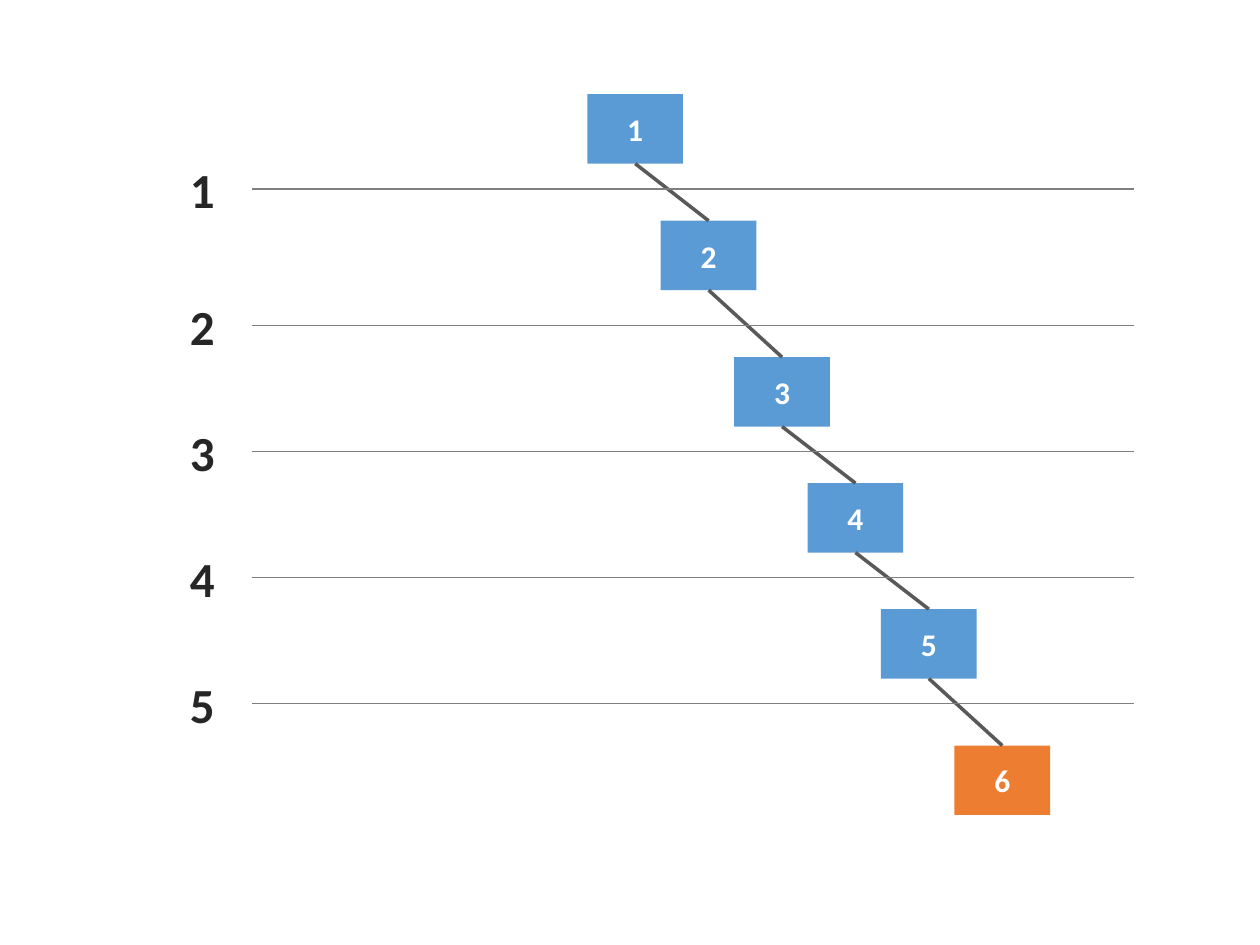
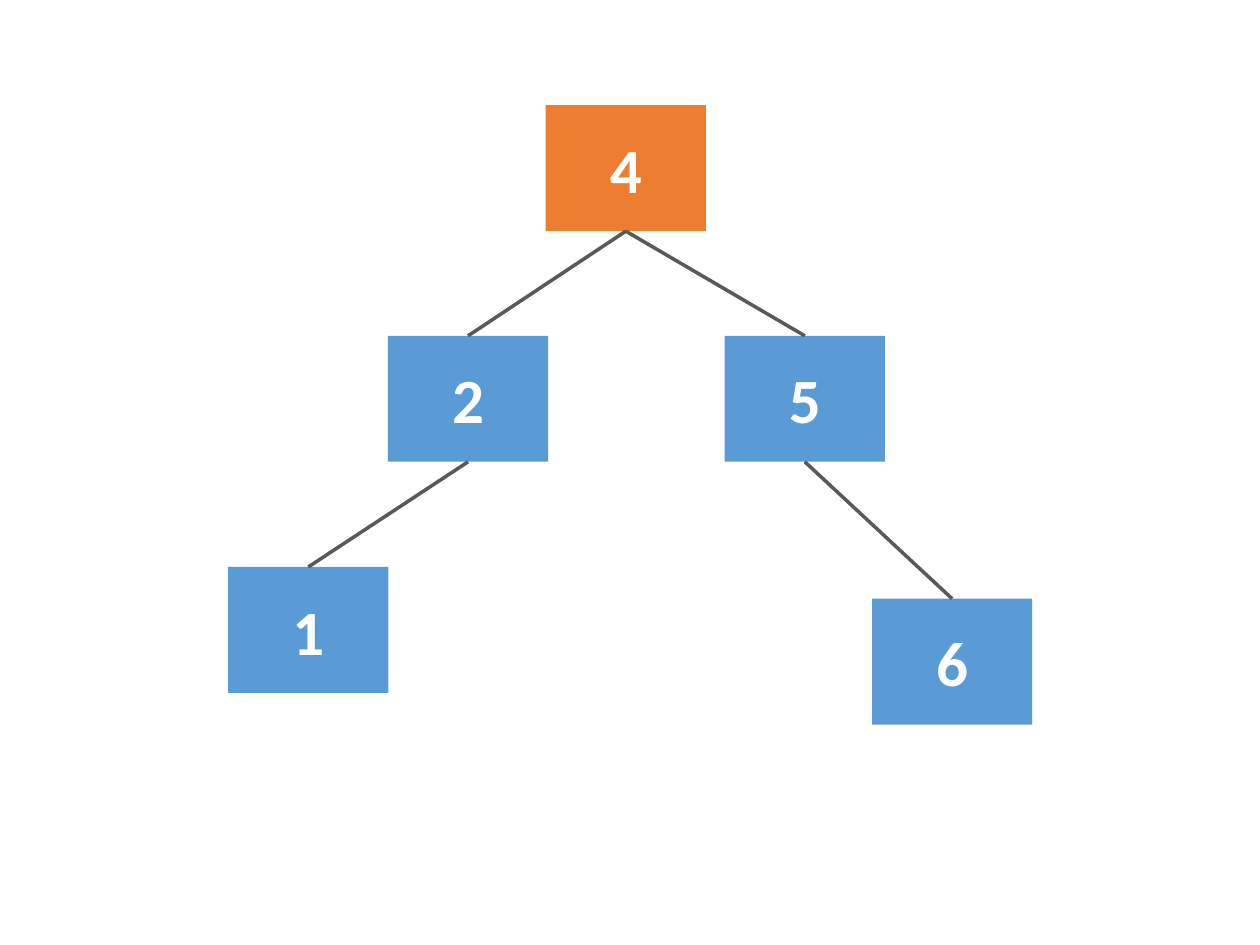
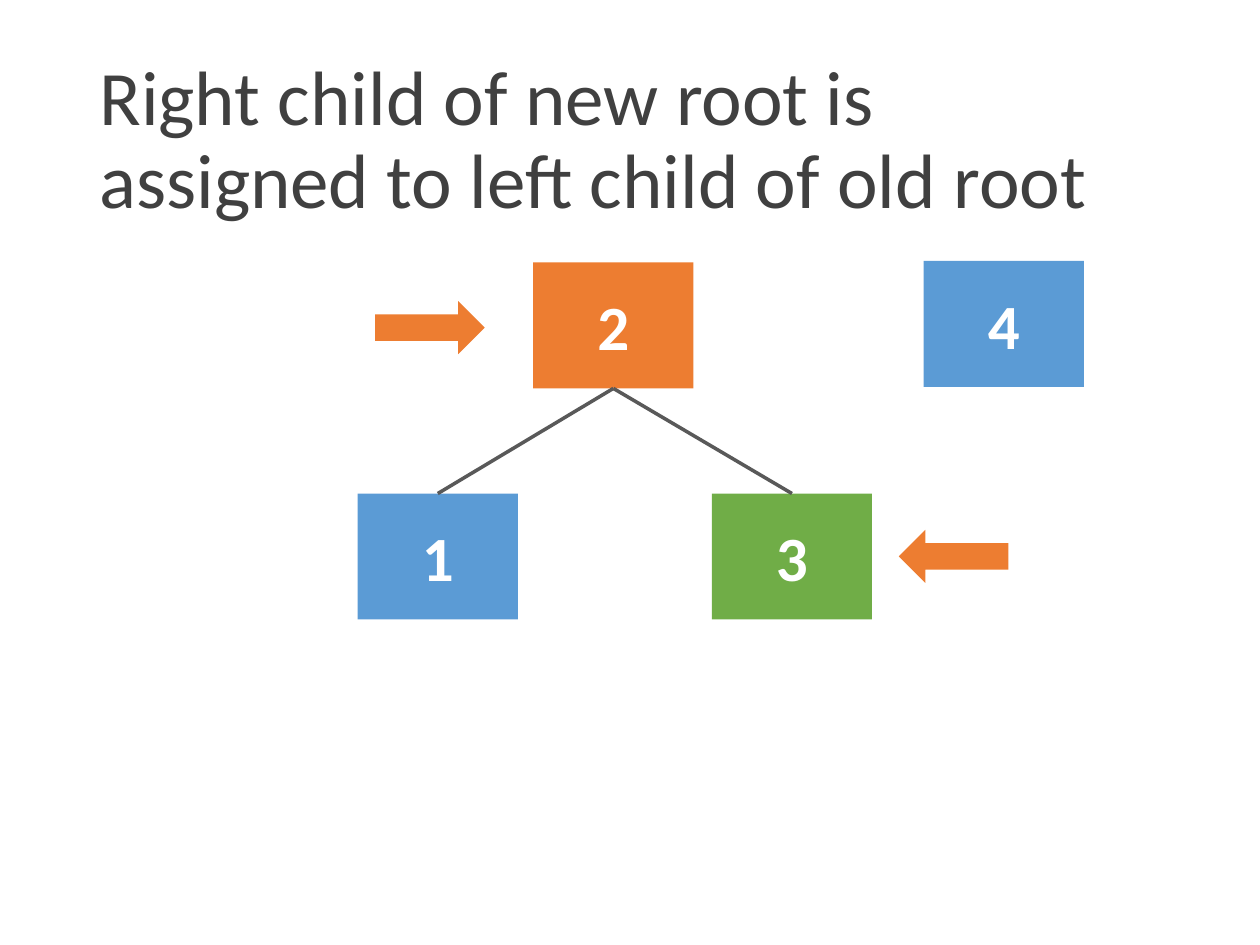
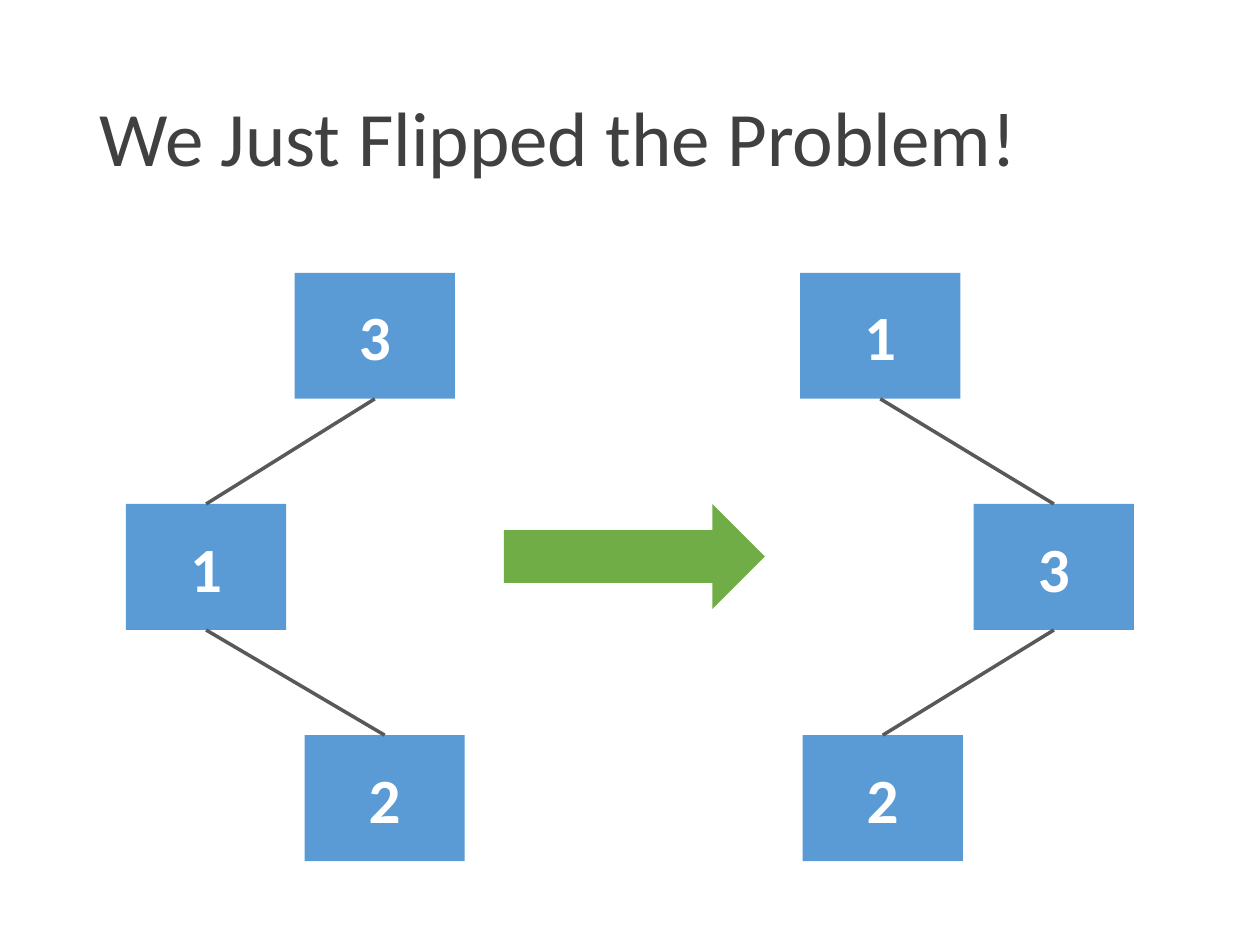
import lxml.etree
import pptx
import pptx.dml.color
import pptx.enum.shapes
import pptx.enum.text
import pptx.oxml.ns
import pptx.util

Cm = pptx.util.Cm
Pt = pptx.util.Pt
SHAPE = pptx.enum.shapes.MSO_SHAPE
ALIGN = pptx.enum.text.PP_ALIGN
ANCHOR = pptx.enum.text.MSO_ANCHOR
SIZE = pptx.enum.text.MSO_AUTO_SIZE

BLUE, ORANGE, GREEN = "5B9BD5", "ED7D31", "70AD47"
WHITE, DARK, INK = "FFFFFF", "404040", "262626"
EDGE, RULE = "595959", "808080"

TITLE = {"size": Pt(44), "name": "Calibri", "bold": False}
LABEL = {"size": Pt(28), "name": "Calibri", "bold": True}
LARGE = {"size": Pt(36), "name": "Calibri", "bold": True}
SMALL = {"size": Pt(18), "name": "Calibri", "bold": True}
BIG_BOX = (3.23, 2.54)
SMALL_BOX = (1.93, 1.4)
TOP, BOTTOM = 0, 2


def apply(item, values):
    for name, value in values.items():
        setattr(item, name, value)


def paint(color, shade):
    color.rgb = pptx.dml.color.RGBColor.from_string(shade)


def write(frame, text, font, shade, para, body):
    apply(frame, body)
    first = frame.paragraphs[0]
    first.text = text
    apply(first, para)
    apply(first.font, font)
    paint(first.font.color, shade)


def add_title(slide, text):
    title = slide.shapes.title
    apply(title, {"left": Cm(1.75), "top": Cm(1.02),
                  "width": Cm(21.9), "height": Cm(3.68)})
    write(title.text_frame, text, TITLE, DARK,
          {"alignment": ALIGN.LEFT, "line_spacing": 0.9},
          {"vertical_anchor": ANCHOR.MIDDLE, "word_wrap": True,
           "auto_size": SIZE.NONE})


def add_block(slide, kind, place, shade, turn=0):
    block = slide.shapes.add_shape(kind, *map(Cm, place))
    block.shadow.inherit = False
    block.fill.solid()
    paint(block.fill.fore_color, shade)
    block.line.fill.background()
    block.rotation = turn
    return block


def add_node(slide, text, spot, shade=BLUE, size=BIG_BOX, font=LARGE):
    node = add_block(slide, SHAPE.RECTANGLE, spot + size, shade)
    write(node.text_frame, text, font, WHITE, {"alignment": ALIGN.CENTER},
          {"vertical_anchor": ANCHOR.MIDDLE, "word_wrap": True})
    return node


def add_line(slide, ends, shade, width):
    line = slide.shapes.add_connector(
        pptx.enum.shapes.MSO_CONNECTOR.STRAIGHT, *map(Cm, ends))
    paint(line.line.color, shade)
    line.line.width = Pt(width)
    lxml.etree.SubElement(line._element.spPr, pptx.oxml.ns.qn("a:effectLst"))
    return line


def add_edge(slide, parent, child):
    edge = add_line(slide, (0, 0, 0, 0), EDGE, 2)
    edge.begin_connect(parent, BOTTOM)
    edge.end_connect(child, TOP)


def add_label(slide, text, left, top):
    label = slide.shapes.add_textbox(Cm(left), Cm(top), Cm(1.47), Cm(1.45))
    write(label.text_frame, text, LABEL, INK, {"alignment": ALIGN.LEFT},
          {"word_wrap": True, "auto_size": SIZE.SHAPE_TO_FIT_TEXT})


def add_tree(slide, spots, edges, shades):
    nodes = {key: add_node(slide, key, spot, shades.get(key, BLUE))
             for key, spot in spots.items()}
    for parent, child in edges:
        add_edge(slide, nodes[parent], nodes[child])


def draw_chain(slide):
    tops = (1.9, 4.45, 7.2, 9.74, 12.28, 15.03)
    nodes = [add_node(slide, str(step + 1), (11.84 + 1.48 * step, top),
                      ORANGE if top == tops[-1] else BLUE, SMALL_BOX, SMALL)
             for step, top in enumerate(tops)]
    for parent, child in zip(nodes, nodes[1:]):
        add_edge(slide, parent, child)
    for level, y in enumerate((3.81, 6.56, 9.1, 11.64, 14.18), 1):
        add_line(slide, (5.08, y, 22.86, y), RULE, 0.75)
        add_label(slide, str(level), 3.58, y - 0.71)


def draw_tree(slide):
    add_tree(slide, {"4": (11, 2.12), "2": (7.82, 6.77), "1": (4.6, 11.43),
                     "5": (14.61, 6.77), "6": (17.58, 12.07)},
             ("42", "21", "45", "56"), {"4": ORANGE})


def draw_root(slide):
    add_title(slide, "Right child of new root is assigned to left child of old root")
    add_tree(slide, {"2": (10.75, 5.29), "3": (14.35, 9.95),
                     "1": (7.21, 9.95), "4": (18.62, 5.26)},
             ("23", "21"), {"2": ORANGE, "3": GREEN})
    for left, top, turn in ((8.13, 5.5, 90), (18.69, 10.11, 270)):
        add_block(slide, SHAPE.UP_ARROW, (left, top, 1.07, 2.21), ORANGE, turn)


def draw_flip(slide):
    add_title(slide, "We Just Flipped the Problem!")
    high, middle, low = 5.5, 10.16, 14.82
    add_tree(slide, {"1": (16.13, high), "3": (19.63, middle),
                     "2": (16.18, low)}, ("13", "32"), {})
    add_tree(slide, {"3": (5.94, high), "1": (2.54, middle),
                     "2": (6.14, low)}, ("31", "12"), {})
    add_block(slide, SHAPE.RIGHT_ARROW, (10.16, middle, 5.26, 2.12), GREEN)


def main():
    deck = pptx.Presentation()
    apply(deck, {"slide_width": Cm(25.4), "slide_height": Cm(19.05)})
    titled, blank = deck.slide_layouts[5], deck.slide_layouts[6]
    for draw, layout in ((draw_chain, blank), (draw_tree, blank),
                         (draw_root, titled), (draw_flip, titled)):
        draw(deck.slides.add_slide(layout))
    deck.save("out.pptx")


if __name__ == "__main__":
    main()
